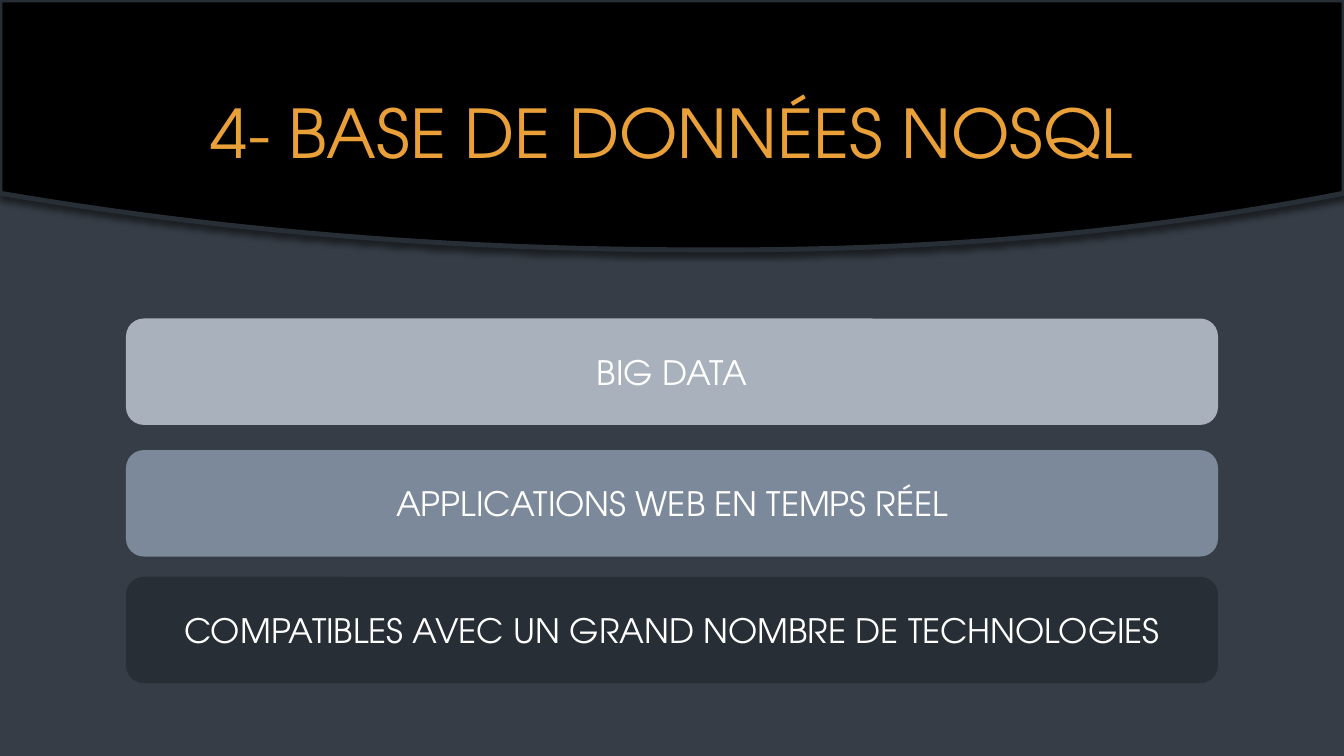
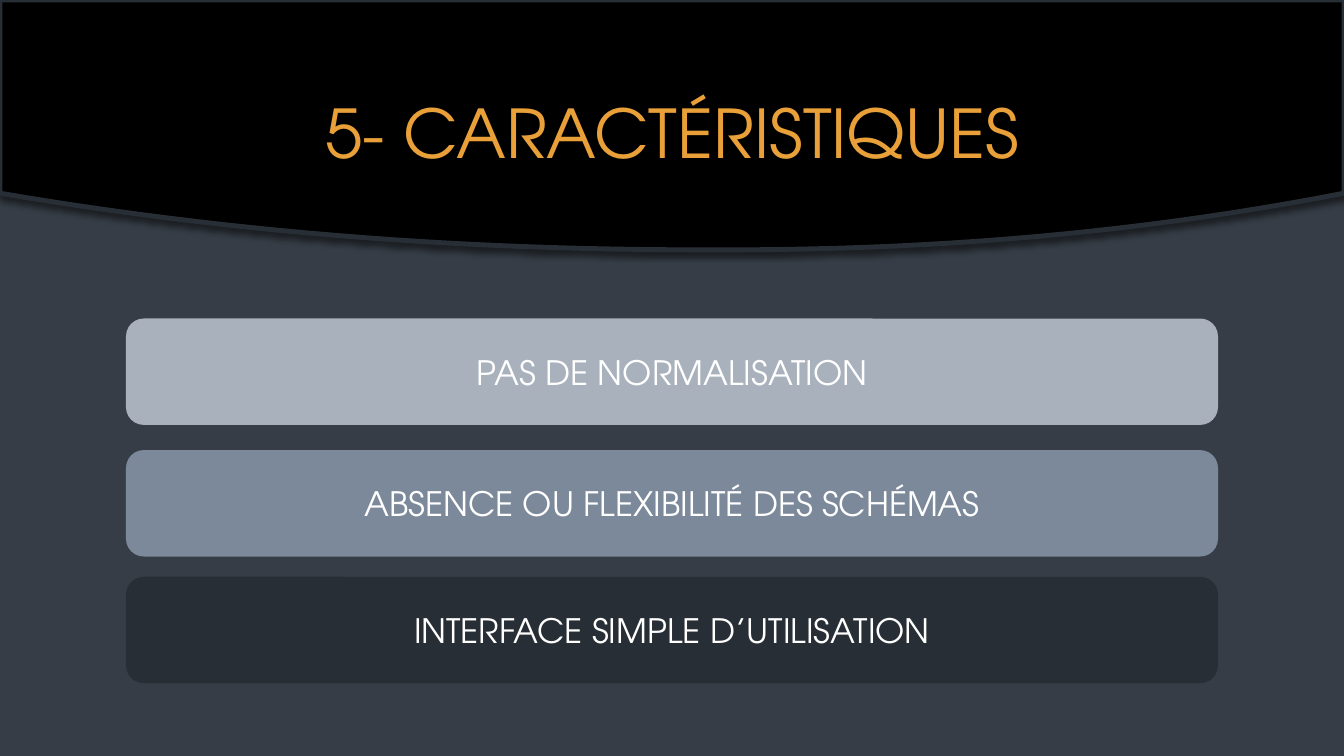
import pptx
import pptx.dml.color
import pptx.enum.shapes
import pptx.enum.text
import pptx.oxml
import pptx.oxml.ns
import pptx.util

Pt = pptx.util.Pt
RGBColor = pptx.dml.color.RGBColor

SLIDES = [
    ("4- BASE DE DONNÉES NOSQL", [
        "BIG DATA",
        "APPLICATIONS WEB EN TEMPS RÉEL",
        "COMPATIBLES AVEC UN GRAND NOMBRE DE TECHNOLOGIES",
    ]),
    ("5- CARACTÉRISTIQUES", [
        "PAS DE NORMALISATION",
        "ABSENCE OU FLEXIBILITÉ DES SCHÉMAS",
        "INTERFACE SIMPLE D’UTILISATION",
    ]),
]

FONT = "TeX Gyre Adventor"
SLATE = RGBColor(0x36, 0x3D, 0x46)
BLACK = RGBColor(0, 0, 0)
WHITE = RGBColor(0xFF, 0xFF, 0xFF)
ORANGE = RGBColor(0xE9, 0xA0, 0x39)
LIGHT_GREY = RGBColor(0xA8, 0xB1, 0xBC)
BLUE_GREY = RGBColor(0x7C, 0x89, 0x9A)
CHARCOAL = RGBColor(0x28, 0x2E, 0x35)

WIDTH, HEIGHT = 960, 540
MARGIN = 90
CONTENT_WIDTH = WIDTH - 2 * MARGIN
TITLE_TOP, TITLE_HEIGHT = 48, 92
CARD_HEIGHT = 76
CARD_STYLES = [(227.5, LIGHT_GREY), (321.5, BLUE_GREY), (412, CHARCOAL)]

BAND_EDGE, BAND_BOTTOM = 138, 178.5
BAND_LOWEST_X = 511
BAND_CURVE_POWER = 2.15
BAND_STEPS = 48

SHADOW = (
    f'<a:outerShdw {pptx.oxml.ns.nsdecls("a")} blurRad="{Pt(4)}" dist="{Pt(3)}" '
    'dir="5400000" algn="t" rotWithShape="0">'
    '<a:srgbClr val="000000"><a:alpha val="50000"/></a:srgbClr></a:outerShdw>'
)


def set_text(shape, text, *, size, color):
    frame = shape.text_frame
    frame.word_wrap = True
    frame.auto_size = pptx.enum.text.MSO_AUTO_SIZE.NONE
    frame.vertical_anchor = pptx.enum.text.MSO_ANCHOR.MIDDLE
    paragraph = frame.paragraphs[0]
    paragraph.alignment = pptx.enum.text.PP_ALIGN.CENTER
    run = paragraph.add_run()
    run.text = text
    run.font.name = FONT
    run.font.size = Pt(size)
    run.font.color.rgb = color


def paint(shape, color):
    shape.shadow.inherit = False
    shape.fill.solid()
    shape.fill.fore_color.rgb = color


def band_y(x):
    """Height of the band's curved lower edge at x."""
    reach = BAND_LOWEST_X if x < BAND_LOWEST_X else WIDTH - BAND_LOWEST_X
    rise = (abs(x - BAND_LOWEST_X) / reach) ** BAND_CURVE_POWER
    return BAND_BOTTOM - (BAND_BOTTOM - BAND_EDGE) * rise


def add_band(slide):
    curve_xs = [WIDTH * (1 - step / BAND_STEPS) for step in range(BAND_STEPS + 1)]
    outline = [(WIDTH, 0)] + [(x, band_y(x)) for x in curve_xs]
    builder = slide.shapes.build_freeform(0, 0)
    builder.add_line_segments([(Pt(x), Pt(y)) for x, y in outline], close=True)
    band = builder.convert_to_shape()
    paint(band, BLACK)
    band.line.color.rgb = CHARCOAL
    band.line.width = Pt(3.5)
    effects = band.element.spPr.find(pptx.oxml.ns.qn("a:effectLst"))
    effects.append(pptx.oxml.parse_xml(SHADOW))
    slide.shapes.title.element.addprevious(band.element)


def add_title(slide, text):
    title = slide.shapes.title
    title.left, title.top = Pt(MARGIN), Pt(TITLE_TOP)
    title.width, title.height = Pt(CONTENT_WIDTH), Pt(TITLE_HEIGHT)
    set_text(title, text, size=48, color=ORANGE)


def add_card(slide, text, top, color):
    card = slide.shapes.add_shape(
        pptx.enum.shapes.MSO_SHAPE.ROUNDED_RECTANGLE,
        Pt(MARGIN), Pt(top), Pt(CONTENT_WIDTH), Pt(CARD_HEIGHT))
    paint(card, color)
    card.line.fill.background()
    set_text(card, text, size=24, color=WHITE)


def main():
    deck = pptx.Presentation()
    deck.slide_width, deck.slide_height = Pt(WIDTH), Pt(HEIGHT)
    backdrop = deck.slide_master.background.fill
    backdrop.solid()
    backdrop.fore_color.rgb = SLATE
    title_only = deck.slide_layouts.get_by_name("Title Only")
    for heading, points in SLIDES:
        slide = deck.slides.add_slide(title_only)
        add_band(slide)
        add_title(slide, heading)
        for point, (top, color) in zip(points, CARD_STYLES):
            add_card(slide, point, top, color)
    deck.save("out.pptx")


if __name__ == "__main__":
    main()
